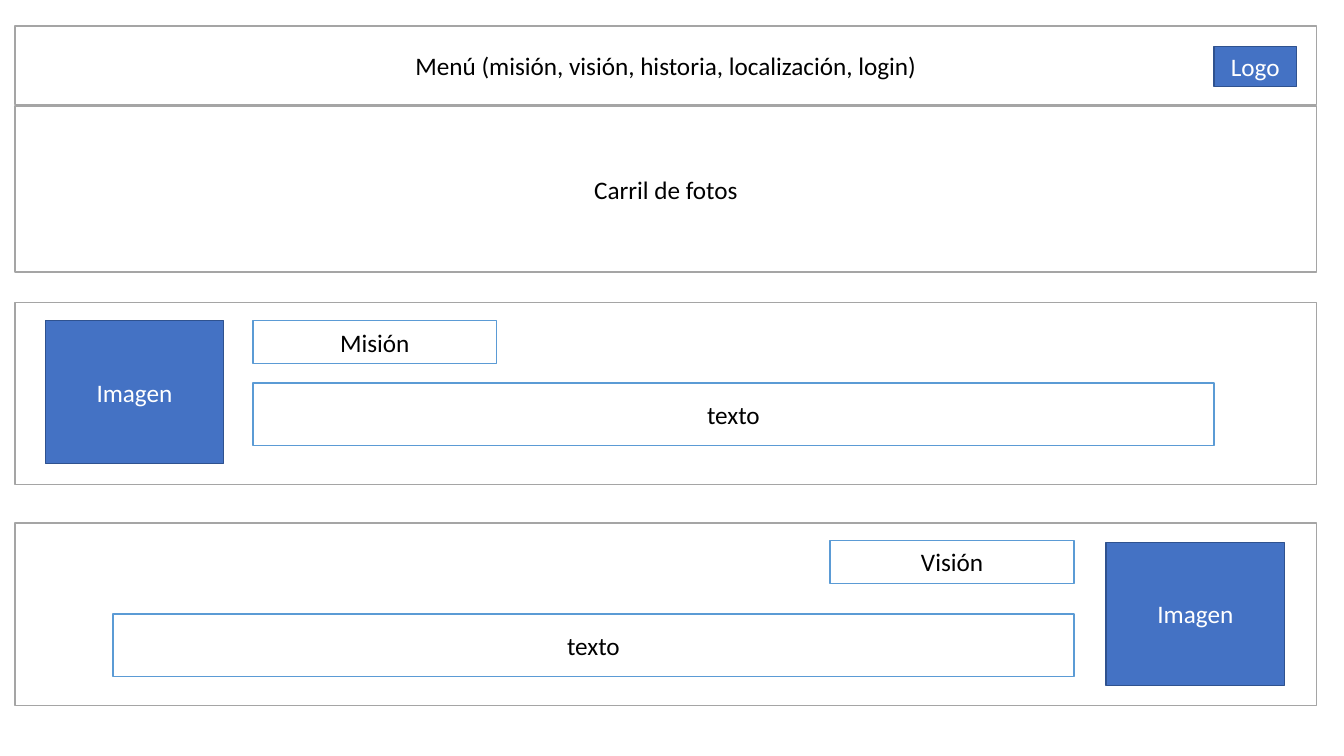
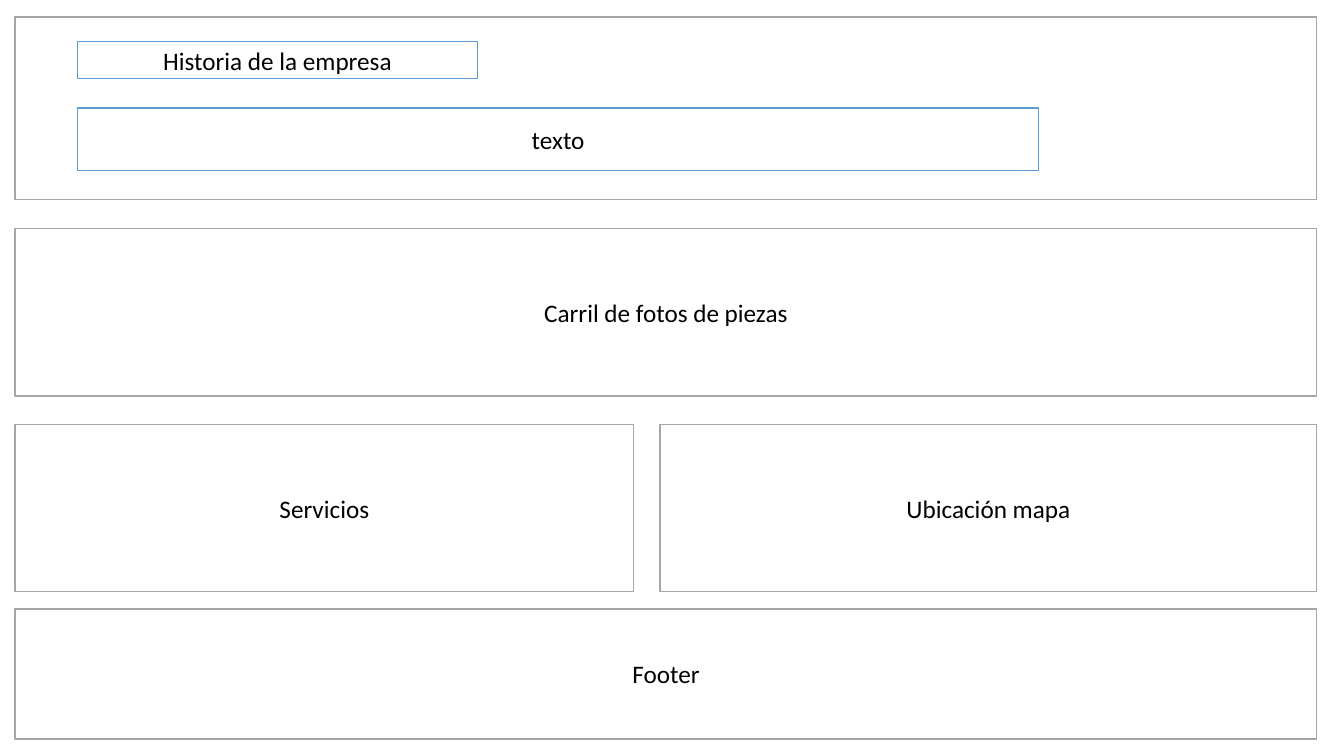
import pptx
import pptx.util
import pptx.dml.color
import pptx.enum.shapes
import pptx.enum.text
from dataclasses import dataclass

Inches = pptx.util.Inches
Color = pptx.dml.color.RGBColor.from_string


@dataclass(frozen=True)
class Theme:
    """Colours, type and measures shared by the slides."""
    # Each look is fill, line, text
    band: tuple = ("FFFFFF", "A5A5A5", "000000")
    field: tuple = ("FFFFFF", "5B9BD5", "000000")
    media: tuple = ("4472C4", "2F528F", "FFFFFF")
    font: str = "Calibri"
    size: float = 18
    line: float = 0.99
    left: float = 0.15
    width: float = 12.92
    panel: float = 1.81
    rail: float = 1.66
    text: tuple = (9.54, 0.62)
    image: tuple = (1.77, 1.42)
    label: tuple = (2.42, 0.43)


def apply(target, values):
    """Set each named attribute on the target."""
    for name, value in values.items():
        setattr(target, name, value)


class Deck:
    """Draws wireframe parts on the current slide."""

    def __init__(self, theme):
        """Start an empty wide deck."""
        self.theme = theme
        self.file = pptx.Presentation()
        apply(self.file, {"slide_width": Inches(13.34),
                          "slide_height": Inches(7.5)})
        self.page = None

    def slide(self):
        """Add a blank slide and make it current."""
        self.page = self.file.slides.add_slide(self.file.slide_layouts[6])

    def box(self, look, left, top, width, height, text=""):
        """Draw a rectangle with centred text."""
        fill, line, ink = map(Color, look)
        shape = self.page.shapes.add_shape(
            pptx.enum.shapes.MSO_SHAPE.RECTANGLE,
            *map(Inches, (left, top, width, height)))
        shape.shadow.inherit = False
        shape.fill.solid()
        shape.fill.fore_color.rgb = fill
        shape.line.color.rgb = line
        shape.line.width = pptx.util.Pt(self.theme.line)
        if not text:
            return
        frame = shape.text_frame
        apply(frame, {"text": text, "word_wrap": True,
                      "vertical_anchor": pptx.enum.text.MSO_ANCHOR.MIDDLE})
        para = frame.paragraphs[0]
        para.alignment = pptx.enum.text.PP_ALIGN.CENTER
        font = para.runs[0].font
        apply(font, {"name": self.theme.font,
                     "size": pptx.util.Pt(self.theme.size)})
        font.color.rgb = ink

    def band(self, top, height, text=""):
        """Draw a full-width section."""
        self.cell(self.theme.left, top, self.theme.width, height, text)

    def cell(self, left, top, width, height, text):
        """Draw a section of any width."""
        self.box(self.theme.band, left, top, width, height, text)

    def label(self, left, top, text, size=None):
        """Draw a section heading field."""
        self.box(self.theme.field, left, top, *(size or self.theme.label), text)

    def text(self, left, top):
        """Draw the body text field."""
        self.box(self.theme.field, left, top, *self.theme.text, "texto")

    def media(self, left, top, size, text):
        """Draw a filled block that stands for a picture."""
        self.box(self.theme.media, left, top, *size, text)


def home(deck):
    """Build the menu, mission and vision sections."""
    theme = deck.theme
    deck.slide()
    deck.band(1.05, 1.65, "Carril de fotos")
    deck.band(3, theme.panel)
    deck.band(5.19, theme.panel)
    deck.media(0.45, 3.18, theme.image, "Imagen")
    deck.media(10.98, 5.38, theme.image, "Imagen")
    deck.label(2.51, 3.18, "Misión")
    deck.text(2.51, 3.8)
    deck.label(8.24, 5.36, "Visión")
    deck.text(1.12, 6.09)
    deck.band(0.26, 0.78, "Menú (misión, visión, historia, localización, login)")
    deck.media(12.05, 0.46, (0.82, 0.4), "Logo")


def about(deck):
    """Build the history, services, map and footer sections."""
    theme = deck.theme
    deck.slide()
    deck.band(0.17, theme.panel)
    deck.label(0.77, 0.41, "Historia de la empresa", (3.97, 0.37))
    deck.text(0.77, 1.07)
    deck.band(2.27, theme.rail, "Carril de fotos de piezas")
    for left, width, text in ((theme.left, 6.14, "Servicios"),
                              (6.55, 6.52, "Ubicación mapa")):
        deck.cell(left, 4.21, width, theme.rail, text)
    deck.band(6.04, 1.29, "Footer")


deck = Deck(Theme())
home(deck)
about(deck)
deck.file.save("out.pptx")
